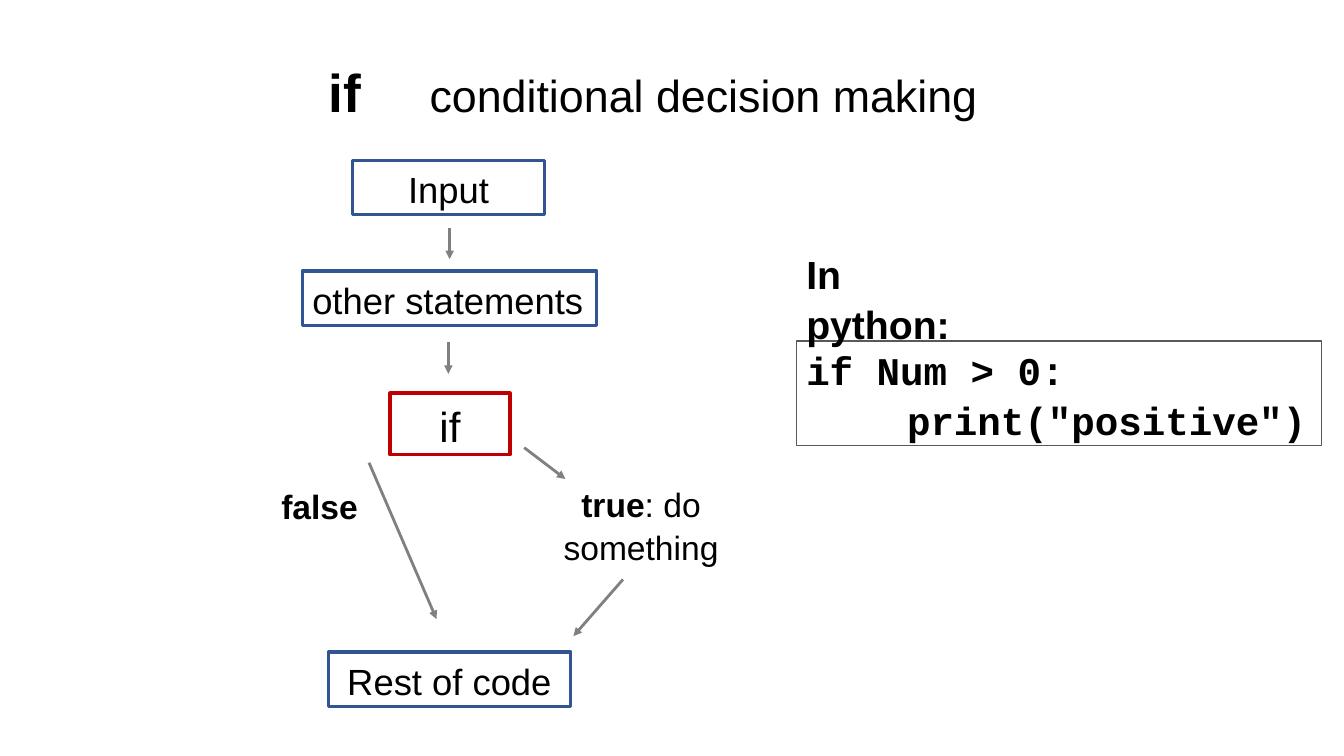
from pptx import Presentation
from pptx import util as u
from pptx.dml.color import RGBColor
from pptx.enum import shapes, text
from pptx.oxml.ns import qn
from lxml import etree

BLUE, RED, GREY, DARK_GREY = "325491", "C00000", "808080", "595959"
LEFT, CENTER = text.PP_ALIGN.LEFT, text.PP_ALIGN.CENTER
TOP, MIDDLE = text.MSO_ANCHOR.TOP, text.MSO_ANCHOR.MIDDLE


def color(value):
    return RGBColor.from_string(value)


def write(shape, lines, align=CENTER, anchor=MIDDLE, wrap=True, font="Arial"):
    """Fill a shape with lines, each a list of (words, size, bold) runs."""
    frame = shape.text_frame
    frame.auto_size = text.MSO_AUTO_SIZE.NONE
    frame.word_wrap = wrap
    frame.vertical_anchor = anchor
    for index, line in enumerate(lines):
        paragraph = frame.add_paragraph() if index else frame.paragraphs[0]
        paragraph.alignment = align
        paragraph.line_spacing = 1.06
        if any("\t" in words for words, size, bold in line):
            tabs = etree.SubElement(paragraph._p.get_or_add_pPr(), qn("a:tabLst"))
            etree.SubElement(tabs, qn("a:tab"), pos=str(u.Cm(2.54)), algn="l")
        for words, size, bold in line:
            run = paragraph.add_run()
            run.text = words
            run.font.name = font
            run.font.size = u.Pt(size)
            run.font.bold = bold
            run.font.color.rgb = color("000000")


presentation = Presentation()
presentation.slide_width = u.Cm(33.87)
presentation.slide_height = u.Cm(19.05)
slide = presentation.slides.add_slide(presentation.slide_layouts[5])

# Title
title = slide.shapes.title
title.left, title.top = u.Cm(8.03), u.Cm(1.27)
title.width, title.height = u.Cm(18.8), u.Cm(1.88)
write(title, [[("if", 38, True), ("\t", 32, True),
               ("conditional decision making", 32, False)]], LEFT, TOP)

# Boxes of the flow chart and the code frame
code = [[("if Num > 0:", 28, True)], [("\tprint(\"positive\")", 28, True)]]
boxes = [
    ((8.89, 4.04, 4.83, 1.37), BLUE, 2.5, [[("Input", 26, False)]], {}),
    ((7.62, 6.83, 7.42, 1.37), BLUE, 2.5, [[("other statements", 26, False)]],
     {"align": LEFT, "wrap": False}),
    ((9.83, 9.91, 3.02, 1.55), RED, 2.5, [[("if", 30, False)]], {}),
    ((8.28, 16.43, 6.1, 1.37), BLUE, 2.5, [[("Rest of code", 26, False)]], {}),
    ((20.07, 8.59, 13.23, 2.64), DARK_GREY, 1, code,
     {"align": LEFT, "wrap": False, "font": "Courier New"}),
]
for place, outline, width, lines, style in boxes:
    box = slide.shapes.add_shape(shapes.MSO_SHAPE.RECTANGLE, *map(u.Cm, place))
    box.shadow.inherit = False
    box.fill.background()
    box.line.color.rgb = color(outline)
    box.line.width = u.Pt(width)
    write(box, lines, **style)

# Branch labels and code heading
labels = [
    ((5.64, 12.07, 4.83, 1.27), [("false", 24, True)], CENTER),
    ((13.74, 12.01, 4.83, 2.31),
     [("true", 24, True), (": do something", 24, False)], CENTER),
    ((20.07, 6.12, 4.95, 1.45), [("In python:", 28, True)], LEFT),
]
for place, line, align in labels:
    label = slide.shapes.add_textbox(*map(u.Cm, place))
    write(label, [line], align, TOP)

# Arrows
arrows = [
    (11.33, 5.74, 11.33, 6.53),
    (11.3, 8.61, 11.3, 9.42),
    (13.21, 11.28, 14.25, 12.07),
    (9.3, 11.66, 11, 15.6),
    (15.7, 14.6, 14.45, 16.03),
]
for ends in arrows:
    arrow = slide.shapes.add_connector(shapes.MSO_CONNECTOR.STRAIGHT,
                                       *map(u.Cm, ends))
    arrow.line.color.rgb = color(GREY)
    arrow.line.width = u.Pt(2)
    properties = arrow._element.spPr
    etree.SubElement(properties.find(qn("a:ln")), qn("a:tailEnd"), type="triangle")
    etree.SubElement(properties, qn("a:effectLst"))

presentation.save("out.pptx")
